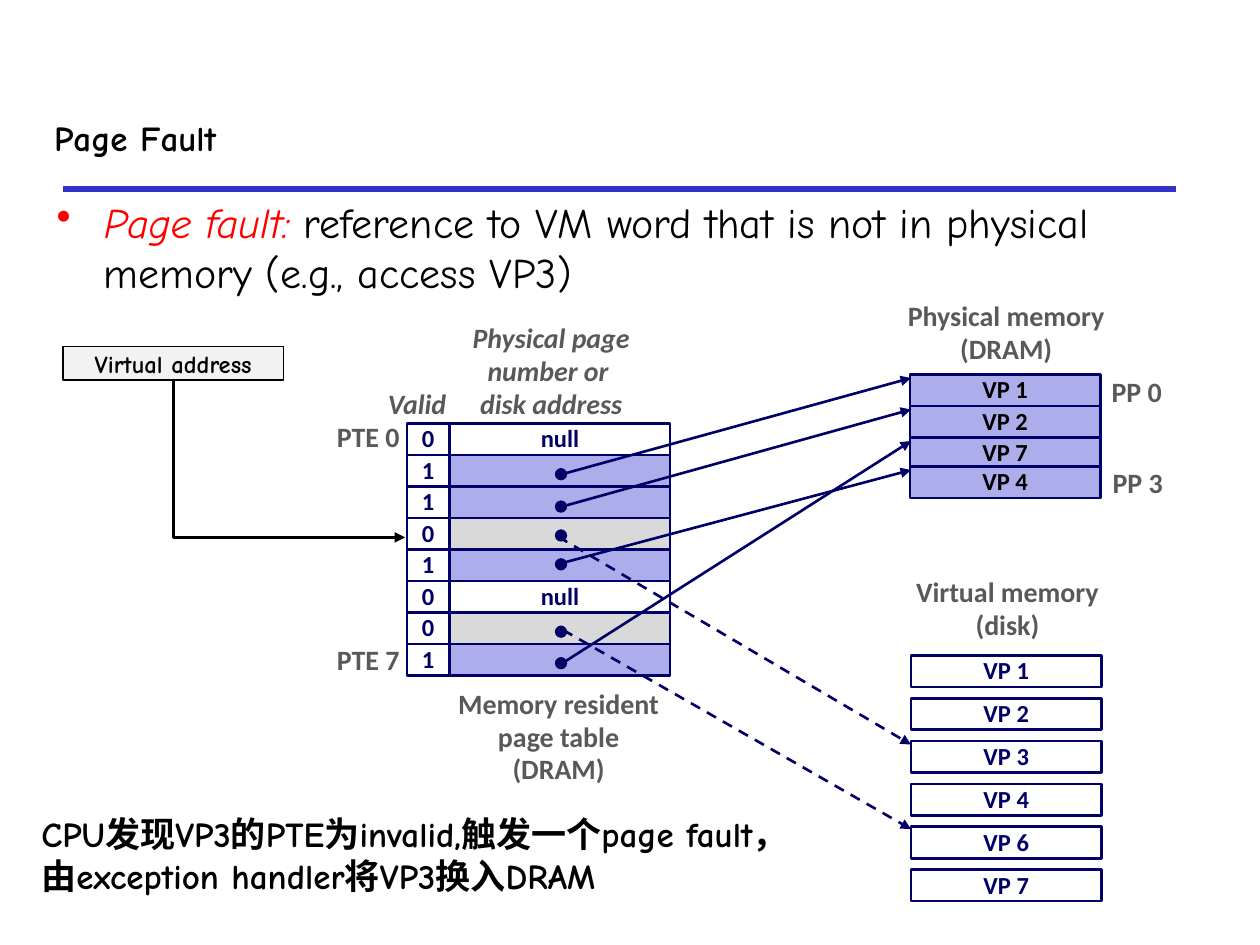
"""Build the page fault slide: page table, physical memory and disk."""
from typing import NamedTuple, Optional

from lxml import etree
from pptx import Presentation
from pptx.dml.color import RGBColor
from pptx.enum.dml import MSO_LINE
from pptx.enum.shapes import MSO_CONNECTOR, MSO_SHAPE
from pptx.enum.text import MSO_ANCHOR, PP_ALIGN
from pptx.oxml.ns import qn
from pptx.util import Pt

RECT, OVAL = MSO_SHAPE.RECTANGLE, MSO_SHAPE.OVAL
STRAIGHT, ELBOW = MSO_CONNECTOR.STRAIGHT, MSO_CONNECTOR.ELBOW
LEFT, CENTER, RIGHT = PP_ALIGN.LEFT, PP_ALIGN.CENTER, PP_ALIGN.RIGHT
TOP, MIDDLE = MSO_ANCHOR.TOP, MSO_ANCHOR.MIDDLE
DASH = MSO_LINE.DASH

NAVY, LILAC, GREY, LABEL, BLACK = "000066", "ADADEB", "D9D9D9", "595959", "000000"
SANS, COMIC = "Calibri", "Comic Neue"
ROW_HEIGHT = 18
TABLE_TOP, FLAG_LEFT, FLAG_WIDTH, ENTRY_LEFT, ENTRY_WIDTH = 242, 232.6, 24, 257, 126
MEMORY_LEFT, DISK_LEFT, PAGE_WIDTH = 520, 520.6, 108.8
DISK_TOP, DISK_PITCH = 374.5, 24.48
DOT_LEFT, DOT_SIZE = 317.6, 6


class Style(NamedTuple):
    size: float
    color: str
    font: str = SANS
    bold: bool = True
    italic: bool = False
    spacing: Optional[float] = 0.98


class Label(NamedTuple):
    lines: tuple
    left: float
    top: float
    width: float
    height: float
    style: Style = Style(16, LABEL)
    align: PP_ALIGN = CENTER
    anchor: MSO_ANCHOR = TOP
    wrap: bool = False


class Entry(NamedTuple):
    valid: str
    fill: Optional[str]
    text: str = ""


class Page(NamedTuple):
    name: str
    top: float


class Pointer(NamedTuple):
    dot_top: float
    start: tuple
    end: tuple
    dash: Optional[MSO_LINE] = None


ITALIC_LABEL = Style(16, LABEL, italic=True)
CELL = Style(14, NAVY)
HEADING = Style(20, BLACK, COMIC, spacing=None)

LABELS = (
    Label(("Page Fault",), 23.8, 46, 652, 65, HEADING, LEFT, MIDDLE, True),
    Label(("Memory resident", "page table", "(DRAM)"), 252.7, 389.5, 133, 64),
    Label(("Physical memory", "(DRAM)"), 511, 168, 128, 45),
    Label(("Virtual memory", "(disk)"), 515, 325.5, 121.5, 45),
    Label(("Valid",), 214.6, 218, 54, 26.6, ITALIC_LABEL, LEFT, TOP, True),
    Label(("Physical page", "number or ", "disk address"), 262, 180, 106, 65, ITALIC_LABEL, CENTER, MIDDLE),
    Label(("PTE 0",), 185, 237, 50.4, 26.6, align=RIGHT, anchor=MIDDLE),
    Label(("PTE 7",), 185, 364.3, 50.4, 26.6, align=RIGHT, anchor=MIDDLE),
    Label(("PP 0",), 628, 211, 43, 26.6, anchor=MIDDLE),
    Label(("PP 3",), 628.6, 263, 43, 26.6, anchor=MIDDLE),
    Label(("CPU发现VP3的PTE为invalid,触发一个page fault，", "由exception handler将VP3换入DRAM"),
          16.5, 461, 472, 55, HEADING, LEFT, TOP, True),
)
ENTRIES = (
    Entry("0", None, "null"), Entry("1", LILAC), Entry("1", LILAC), Entry("0", GREY),
    Entry("1", LILAC), Entry("0", None, "null"), Entry("0", GREY), Entry("1", LILAC),
)
MEMORY_PAGES = (Page("VP 1", 214), Page("VP 2", 232), Page("VP 7", 250), Page("VP 4", 266.5))
DISK_PAGES = tuple(
    Page(f"VP {number}", DISK_TOP + row * DISK_PITCH) for row, number in enumerate((1, 2, 3, 4, 6, 7))
)
POINTERS = (
    Pointer(268, (319.7, 271.4), (520.6, 216)),
    Pointer(286.5, (324, 288.7), (520.6, 234)),
    Pointer(303, (319, 306.7), (520.6, 425.5), DASH),
    Pointer(319.5, (321, 321.8), (520.6, 268.6)),
    Pointer(358, (321.8, 360), (520.6, 473.8), DASH),
    Pointer(376, (321.8, 378.7), (520.6, 252)),
)


def rgb(color: str) -> RGBColor:
    """Turn a hex string into a colour."""
    return RGBColor.from_string(color)


def style_font(font, style: Style) -> None:
    """Apply a text style to a paragraph or run font."""
    font.name, font.size = style.font, Pt(style.size)
    font.bold, font.italic = style.bold, style.italic
    font.color.rgb = rgb(style.color)


def write(frame, lines: tuple, style: Style, align, anchor, wrap: bool) -> None:
    """Fill a text frame with equally styled lines."""
    frame.word_wrap, frame.vertical_anchor = wrap, anchor
    for index, line in enumerate(lines):
        paragraph = frame.add_paragraph() if index else frame.paragraphs[0]
        paragraph.text, paragraph.alignment = line, align
        paragraph.line_spacing = style.spacing
        style_font(paragraph.font, style)


def add_label(shapes, label: Label) -> None:
    """Draw a free text label."""
    box = shapes.add_textbox(Pt(label.left), Pt(label.top), Pt(label.width), Pt(label.height))
    write(box.text_frame, label.lines, label.style, label.align, label.anchor, label.wrap)


def add_block(shapes, kind, left: float, top: float, width: float, height: float,
              fill: Optional[str], text: str = "", style: Style = CELL,
              line: str = NAVY, weight: float = 1.5) -> None:
    """Draw an outlined shape with optional fill and centred text."""
    block = shapes.add_shape(kind, Pt(left), Pt(top), Pt(width), Pt(height))
    block.shadow.inherit = False
    if fill:
        block.fill.solid()
        block.fill.fore_color.rgb = rgb(fill)
    else:
        block.fill.background()
    block.line.color.rgb, block.line.width = rgb(line), Pt(weight)
    if text:
        write(block.text_frame, (text,), style, CENTER, MIDDLE, False)


def add_line(shapes, kind, start: tuple, end: tuple, color: str, weight: float,
             dash=None, arrow: bool = True):
    """Draw a connector, by default with an arrowhead at its end."""
    connector = shapes.add_connector(kind, *(Pt(value) for value in start + end))
    connector.line.color.rgb, connector.line.width = rgb(color), Pt(weight)
    if dash:
        connector.line.dash_style = dash
    if arrow:
        etree.SubElement(connector.line._get_or_add_ln(), qn("a:tailEnd"), type="triangle")
    etree.SubElement(connector._element.spPr, qn("a:effectLst"))
    return connector


def add_definition(shapes) -> None:
    """Write the bulleted definition of a page fault."""
    frame = shapes.add_textbox(Pt(25.2), Pt(108.7), Pt(654.5), Pt(60)).text_frame
    frame.word_wrap = True
    paragraph = frame.paragraphs[0]
    properties = paragraph._p.get_or_add_pPr()
    properties.set("marL", str(Pt(27)))
    properties.set("indent", str(Pt(-27)))
    etree.SubElement(properties, qn("a:buChar"), char="•")
    term = Style(24, "FF0000", COMIC, bold=False, italic=True)
    meaning = Style(24, BLACK, COMIC, bold=False)
    for text, style in (
        ("Page fault: ", term),
        ("reference to VM word that is not in physical memory (e.g., access VP3)", meaning),
    ):
        run = paragraph.add_run()
        run.text = text
        style_font(run.font, style)


def add_address(shapes) -> None:
    """Draw the virtual address and its elbow arrow into the page table."""
    add_block(shapes, RECT, 36, 198, 126, 19.2, "F2F2F2", "Virtual address",
              Style(14, BLACK, COMIC, spacing=None), BLACK, 1)
    elbow = add_line(shapes, ELBOW, (120.3, 328.3), (210.3, 195.8), BLACK, 2)._element.spPr
    elbow.find(qn("a:xfrm")).set("rot", "5400000")
    elbow.find(qn("a:prstGeom")).set("prst", "bentConnector2")


def main() -> None:
    """Build and save the slide."""
    deck = Presentation()
    deck.slide_width, deck.slide_height = Pt(720), Pt(540)
    shapes = deck.slides.add_slide(deck.slide_layouts[6]).shapes
    add_line(shapes, STRAIGHT, (36, 108), (672, 108), "3333CC", 3, arrow=False)
    add_definition(shapes)
    for row, entry in enumerate(ENTRIES):
        top = TABLE_TOP + row * ROW_HEIGHT
        add_block(shapes, RECT, ENTRY_LEFT, top, ENTRY_WIDTH, ROW_HEIGHT, entry.fill, entry.text)
        add_block(shapes, RECT, FLAG_LEFT, top, FLAG_WIDTH, ROW_HEIGHT, None, entry.valid)
    for page in MEMORY_PAGES:
        add_block(shapes, RECT, MEMORY_LEFT, page.top, PAGE_WIDTH, ROW_HEIGHT, LILAC, page.name, Style(14, BLACK))
    for page in DISK_PAGES:
        add_block(shapes, RECT, DISK_LEFT, page.top, PAGE_WIDTH, ROW_HEIGHT, None, page.name)
    for pointer in POINTERS:
        add_block(shapes, OVAL, DOT_LEFT, pointer.dot_top, DOT_SIZE, DOT_SIZE, NAVY, weight=1)
        add_line(shapes, STRAIGHT, pointer.start, pointer.end, NAVY, 1.5, pointer.dash)
    add_address(shapes)
    for label in LABELS:
        add_label(shapes, label)
    deck.save("out.pptx")


if __name__ == "__main__":
    main()
